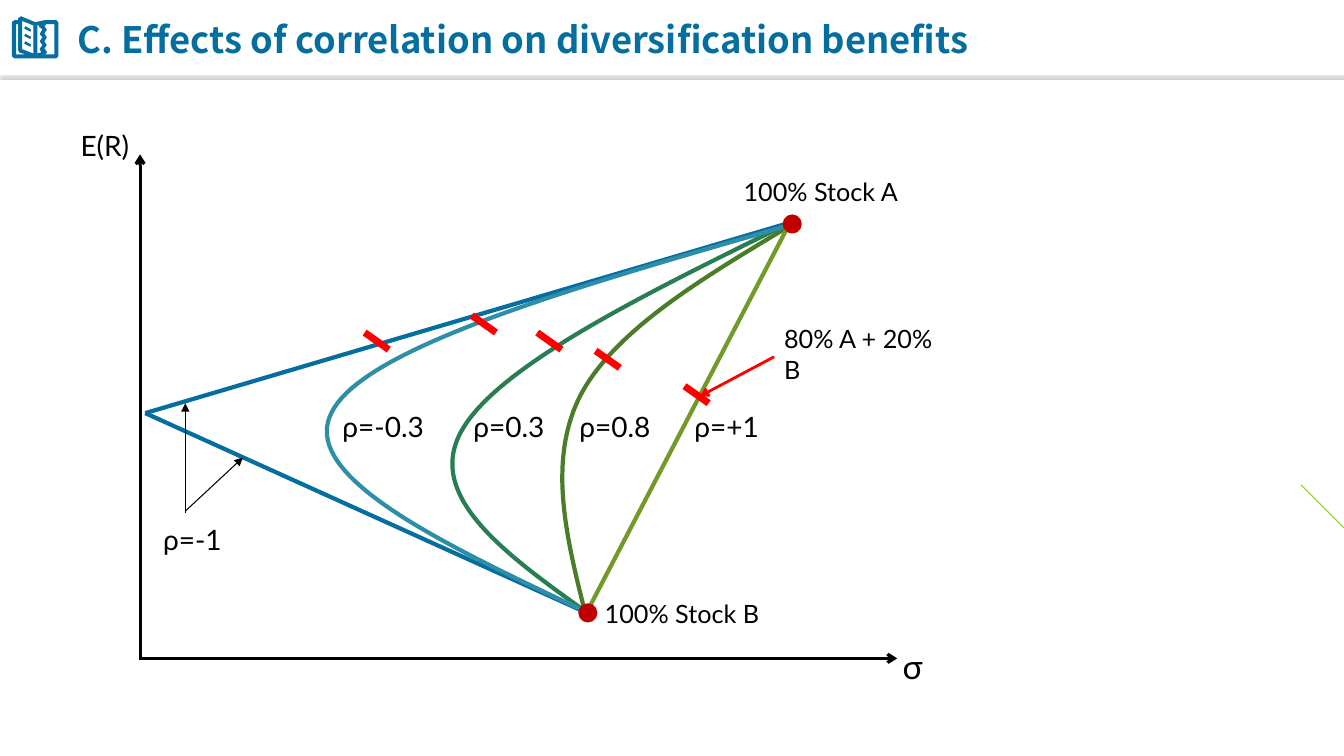
from dataclasses import dataclass

from lxml.etree import SubElement
from pptx import Presentation
from pptx.dml.color import RGBColor
from pptx.enum.shapes import MSO_CONNECTOR as Connector, MSO_SHAPE as Shape
from pptx.enum.text import MSO_ANCHOR as Anchor, MSO_AUTO_SIZE as AutoSize, PP_ALIGN as Align
from pptx.oxml.ns import qn
from pptx.util import Cm, Pt


@dataclass(frozen=True)
class Theme:
    blue: str = "056EA0"
    teal: str = "2E8EA8"
    green: str = "297D53"
    moss: str = "4A7C29"
    olive: str = "739A28"
    lime: str = "97CA33"
    red: str = "FF0000"
    dot: str = "C00000"
    black: str = "000000"
    white: str = "FFFFFF"
    shade: str = "BCB4C4"
    title_font: str = "Noto Sans CJK SC"
    text_font: str = "Lato"
    title: int = 26
    symbol: int = 24
    label: int = 20
    note: int = 18
    hairline: float = 0.75
    dot_line: float = 2
    axis: float = 2.25
    curve: float = 3
    mark: float = 5


THEME = Theme()
STOCK_A = (19.91, 5.61)
STOCK_B = (14.78, 15.44)
MIN_RISK = (3.66, 10.41)
CURVES = [
    (THEME.moss, [(19.91, 5.69), (17.7, 7.01), (15.49, 8.33), (14.63, 9.96),
                  (13.79, 11.61), (14.27, 13.54), (14.76, 15.49)]),
    (THEME.green, [(19.86, 5.64), (16.18, 7.44), (12.47, 9.27), (11.61, 10.9),
                   (10.74, 12.52), (12.75, 13.97), (14.73, 15.39)]),
    (THEME.teal, [(19.74, 5.72), (14.45, 7.24), (9.17, 8.76), (8.36, 10.39),
                  (7.52, 11.99), (11.13, 13.69), (14.71, 15.39)]),
]
LABELS = [
    ("E(R)", 1.78, 3.12, 3.51, THEME.label),
    ("σ", 22.5, 16.15, 2.67, THEME.symbol),
    ("ρ=-1", 3.86, 13.03, 2.9, THEME.label),
    ("100% Stock A", 18.49, 4.32, 5.77, THEME.note),
    ("100% Stock B", 14.99, 14.96, 5.77, THEME.note),
    ("ρ=+1", 17.25, 10.19, 2.9, THEME.label),
    ("ρ=0.3", 11.68, 10.19, 2.9, THEME.label),
    ("ρ=-0.3", 8.38, 10.19, 2.9, THEME.label),
    ("ρ=0.8", 14.35, 10.19, 3.3, THEME.label),
    ("80% A + 20% B", 19.51, 8.03, 4.32, THEME.note),
]
MIX_MARKS = [(17.25, 9.73), (15.01, 8.84), (13.54, 8.38), (11.89, 7.95), (9.19, 8.38)]
BOOK = [
    [(0.53, 0.41), (0.89, 0.56), (1.12, 0.51), (1.42, 0.51), (1.47, 0.56),
     (1.47, 1.42), (1.42, 1.47), (0.36, 1.47), (0.3, 1.42), (0.3, 0.56),
     (0.36, 0.51), (0.46, 0.51), (0.46, 0.46)],
    [(0.41, 0.61), (0.41, 1.37), (0.64, 1.37), (0.48, 1.32), (0.46, 1.27), (0.46, 0.61)],
    [(0.56, 0.53), (0.56, 1.24), (0.84, 1.35), (0.84, 0.64)],
    [(0.99, 0.64), (0.94, 0.64), (0.94, 1.35), (1.04, 1.32), (1, 1.23), (1.07, 1.14),
     (1, 1.04), (1.07, 0.94), (1, 0.86), (1.07, 0.74), (0.99, 0.68)],
    [(1.17, 0.61), (1.12, 0.66), (1.18, 0.75), (1.12, 0.84), (1.18, 0.94), (1.12, 1.04),
     (1.18, 1.14), (1.12, 1.22), (1.19, 1.32), (1.14, 1.37), (1.37, 1.37), (1.37, 0.61)],
] + [[(0.64, y), (0.78, y + 0.08), (0.77, y + 0.14), (0.61, y + 0.06)]
     for y in (0.66, 0.85, 1.04)]


def apply_format(target, values):
    for name, value in values.items():
        setattr(target, name, value)


def to_length(point):
    return tuple(Cm(value) for value in point)


def set_line(shape, colour, width):
    shape.line.color.rgb = RGBColor.from_string(colour)
    shape.line.width = Pt(width)


def add_line(slide, start, end, colour, width, head=None):
    line = slide.shapes.add_connector(Connector.STRAIGHT, *to_length(start), *to_length(end))
    set_line(line, colour, width)
    properties = line._element.spPr
    if head:
        SubElement(properties.find(qn("a:ln")), qn("a:tailEnd"), type=head)
    return SubElement(properties, qn("a:effectLst"))


def add_header_line(slide):
    effects = add_line(slide, (0, 1.85), (33.87, 1.85), THEME.white, THEME.hairline)
    shadow = SubElement(effects, qn("a:outerShdw"), blurRad=str(Pt(1)), dist=str(Pt(3)),
                        dir="5400000", algn="t", rotWithShape="0")
    SubElement(shadow, qn("a:srgbClr"), val=THEME.shade)


def add_outline(slide, contours, close):
    builder = None
    for contour in contours:
        first, *rest = [to_length(point) for point in contour]
        if builder is None:
            builder = slide.shapes.build_freeform(*first)
        else:
            builder.move_to(*first)
        builder.add_line_segments(rest, close=close)
    shape = builder.convert_to_shape()
    shape.shadow.inherit = False
    return shape


def add_book(slide):
    book = add_outline(slide, BOOK, True)
    book.fill.solid()
    book.fill.fore_color.rgb = RGBColor.from_string(THEME.blue)
    book.line.fill.background()


def bezier_point(controls, t):
    weights = ((1 - t) ** 3, 3 * t * (1 - t) ** 2, 3 * t * t * (1 - t), t ** 3)
    return tuple(sum(weight * point[axis] for weight, point in zip(weights, controls))
                 for axis in (0, 1))


def add_curve(slide, colour, controls, steps=40):
    points = [controls[0]] + [bezier_point(controls[start:start + 4], step / steps)
                              for start in (0, 3) for step in range(1, steps + 1)]
    curve = add_outline(slide, [points], False)
    curve.fill.background()
    set_line(curve, colour, THEME.curve)


def add_dot(slide, left, top, size=0.41):
    dot = slide.shapes.add_shape(Shape.OVAL, *to_length((left, top, size, size)))
    dot.shadow.inherit = False
    dot.fill.solid()
    dot.fill.fore_color.rgb = RGBColor.from_string(THEME.dot)
    set_line(dot, THEME.dot, THEME.dot_line)


def write_text(shape, text, font, size, colour, bold=False, anchor=Anchor.TOP):
    frame = shape.text_frame
    apply_format(frame, {"word_wrap": True, "auto_size": AutoSize.NONE,
                         "vertical_anchor": anchor})
    paragraph = frame.paragraphs[0]
    paragraph.alignment = Align.LEFT
    run = paragraph.add_run()
    run.text = text
    apply_format(run.font, {"name": font, "size": Pt(size), "bold": bold})
    run.font.color.rgb = RGBColor.from_string(colour)


def add_label(slide, text, left, top, width, size):
    box = slide.shapes.add_textbox(*to_length((left, top, width, 1.12)))
    write_text(box, text, THEME.text_font, size, THEME.black)


def add_title(slide, text):
    title = slide.shapes.title
    apply_format(title, {"left": Cm(1.7), "top": Cm(0.18),
                         "width": Cm(27.13), "height": Cm(1.6)})
    write_text(title, text, THEME.title_font, THEME.title, THEME.blue, True, Anchor.MIDDLE)


def main():
    presentation = Presentation()
    apply_format(presentation, {"slide_width": Cm(33.87), "slide_height": Cm(19.05)})
    slide = presentation.slides.add_slide(presentation.slide_layouts[5])
    add_header_line(slide)
    add_book(slide)
    add_title(slide, "C. Effects of correlation on diversification benefits")
    add_line(slide, (32.79, 12.22), (33.87, 13.3), THEME.lime, THEME.hairline)

    moss_curve, *other_curves = CURVES
    add_curve(slide, *moss_curve)
    for stock in (STOCK_A, STOCK_B):
        add_line(slide, stock, MIN_RISK, THEME.blue, THEME.curve)
    for curve in other_curves:
        add_curve(slide, *curve)
    add_line(slide, STOCK_A, STOCK_B, THEME.olive, THEME.curve)

    for label in LABELS:
        add_label(slide, *label)
    add_line(slide, (19.51, 8.99), (17.65, 9.98), THEME.red, THEME.dot_line, "arrow")
    for left, top in MIX_MARKS:
        add_line(slide, (left, top), (left + 0.61, top + 0.43), THEME.red, THEME.mark)
    for start, end in (((4.67, 12.88), (6.12, 11.53)), ((4.67, 12.93), (4.67, 10.16))):
        add_line(slide, start, end, THEME.black, THEME.hairline, "triangle")
    for corner in ((14.61, 15.24), (19.76, 5.44)):
        add_dot(slide, *corner)
    for start, end in (((3.53, 16.59), (3.53, 3.89)), ((3.51, 16.59), (22.61, 16.59))):
        add_line(slide, start, end, THEME.black, THEME.axis, "arrow")
    presentation.save("out.pptx")


if __name__ == "__main__":
    main()
